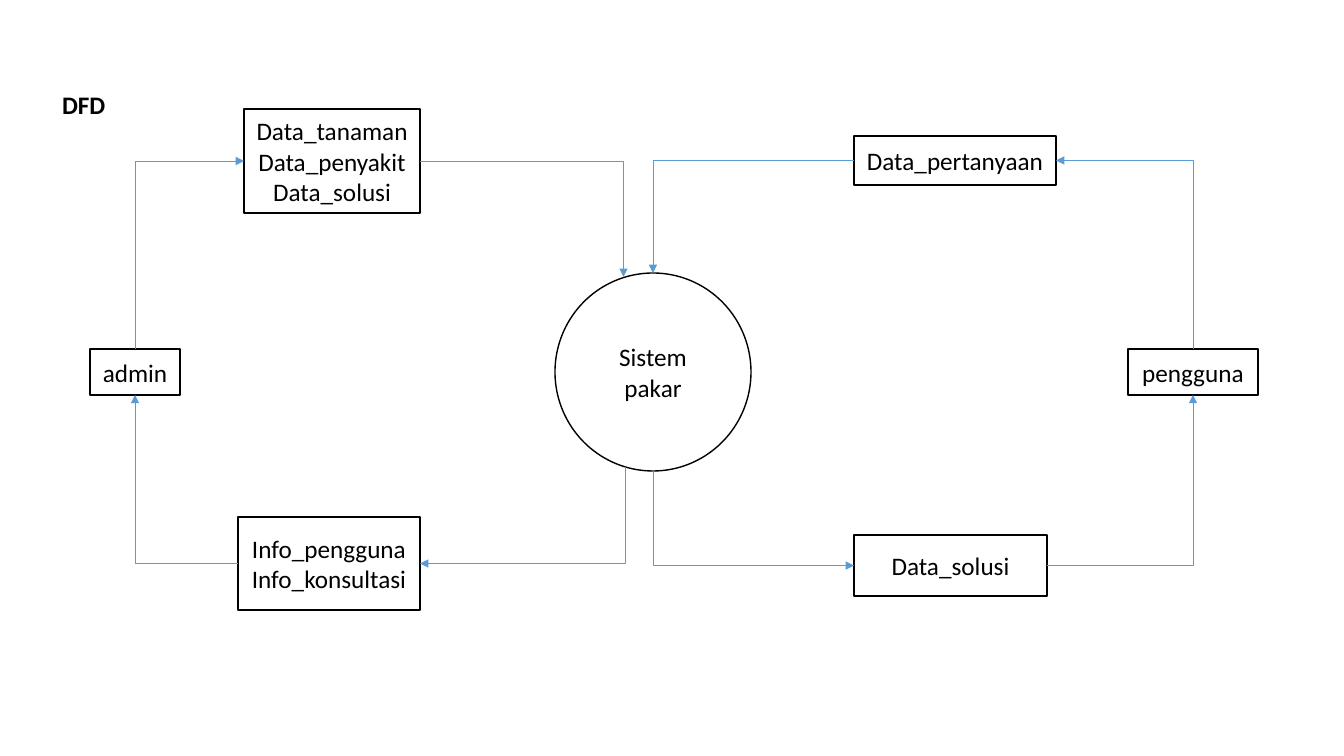
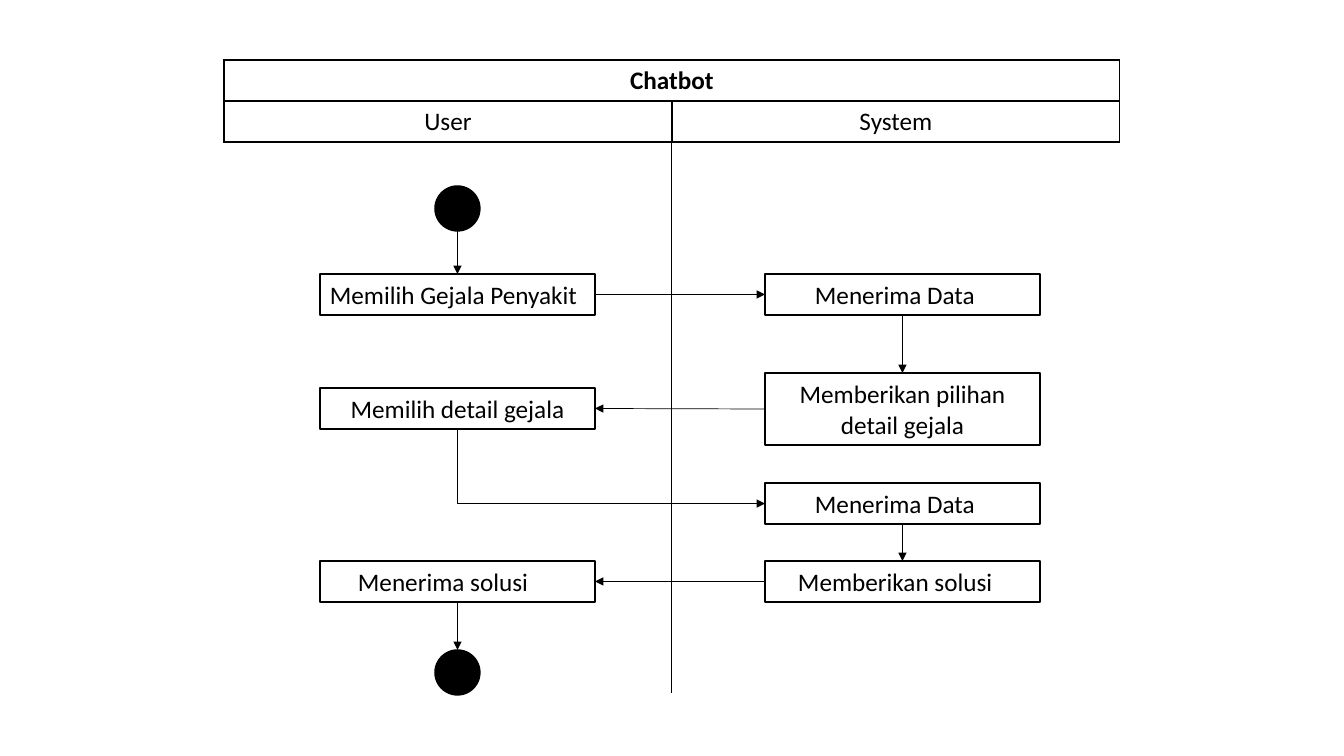
from lxml.etree import SubElement
from pptx import Presentation
from pptx.dml.color import RGBColor
from pptx.enum.shapes import MSO_CONNECTOR, MSO_SHAPE
from pptx.enum.text import MSO_ANCHOR, PP_ALIGN
from pptx.oxml.ns import qn
from pptx.util import Pt

PX = 914400 / 100.8
BLACK = RGBColor(0x00, 0x00, 0x00)
WHITE = RGBColor(0xFF, 0xFF, 0xFF)
BLUE = RGBColor(0x5B, 0x9B, 0xD5)
FONT = "Calibri"
INSET = 10
TOP, LEFT, LOW, RIGHT = (0.5, 0), (0, 0.5), (0.5, 1), (1, 0.5)


def px(*sizes):
    """Turn pixels into EMU."""
    return [round(size * PX) for size in sizes]


def style(frame, align, bold=False):
    """Give all paragraphs of a frame the shared font."""
    for para in frame.paragraphs:
        para.alignment = align
        para.font.name = FONT
        para.font.size = Pt(18)
        para.font.bold = bold
        para.font.color.rgb = BLACK


def draw(slide, kind, box, fill=WHITE):
    """Add an outlined shape."""
    shape = slide.shapes.add_shape(kind, *px(*box))
    shape.shadow.inherit = False
    shape.fill.solid()
    shape.fill.fore_color.rgb = fill
    shape.line.color.rgb = BLACK
    shape.line.width = Pt(1)
    return shape


def node(slide, box, text, kind=MSO_SHAPE.RECTANGLE, indent=None):
    """Add a labelled shape, centred or else indented from the left."""
    shape = draw(slide, kind, box)
    frame = shape.text_frame
    frame.text = text
    frame.word_wrap = True
    frame.vertical_anchor = MSO_ANCHOR.MIDDLE
    frame.margin_left = px(INSET + (indent or 0))[0]
    style(frame, PP_ALIGN.CENTER if indent is None else PP_ALIGN.LEFT)
    return shape


def spot(shape, part):
    """Find the point at a fraction of a shape's width and height."""
    return (round(shape.left + shape.width * part[0]),
            round(shape.top + shape.height * part[1]))


def line(slide, start, end, color=BLACK, kind=MSO_CONNECTOR.STRAIGHT, head=True):
    """Add a thin line, with an arrowhead at its end if wanted."""
    link = slide.shapes.add_connector(kind, *start, *end)
    link.line.color.rgb = color
    link.line.width = Pt(0.5)
    props = link._element.spPr
    if head:
        SubElement(props.find(qn("a:ln")), qn("a:tailEnd"), type="triangle")
    SubElement(props, qn("a:effectLst"))
    return link


def bend(slide, start, end, color=BLACK, down=False):
    """Add an arrow with one corner, moving up or down first if down is set."""
    turn = 0
    if down:
        wide, tall = end[0] - start[0], end[1] - start[1]
        turn = 90 if tall > 0 else 270
        rise = -wide if tall > 0 else wide
        mid_x, mid_y = (start[0] + end[0]) / 2, (start[1] + end[1]) / 2
        start = round(mid_x - abs(tall) / 2), round(mid_y - rise / 2)
        end = round(mid_x + abs(tall) / 2), round(mid_y + rise / 2)
    link = line(slide, start, end, color, MSO_CONNECTOR.ELBOW)
    props = link._element.spPr
    props.find(qn("a:prstGeom")).set("prst", "bentConnector2")
    if turn:
        props.find(qn("a:xfrm")).set("rot", str(turn * 60000))


def title(slide, box, text):
    """Place and format the title."""
    shape = slide.shapes.title
    shape.left, shape.top, shape.width, shape.height = px(*box)
    frame = shape.text_frame
    frame.text = text
    frame.vertical_anchor = MSO_ANCHOR.MIDDLE
    style(frame, PP_ALIGN.LEFT, True)


def dfd(slide, x, y):
    """Draw the data flow diagram from its top left corner."""
    title(slide, (x, y, 202, 40), "DFD")

    def put(left, top, wide, tall, text, kind=MSO_SHAPE.RECTANGLE):
        """Add a node relative to the corner."""
        return node(slide, (x + left, y + top, wide, tall), text, kind)

    core = put(503, 189, 196, 198, "Sistem pakar", MSO_SHAPE.OVAL)
    admin = put(38, 265, 90, 46, "admin")
    user = put(1076, 265, 130, 46, "pengguna")
    data = put(192, 25, 176, 104, "Data_tanaman\nData_penyakit\nData_solusi")
    ask = put(802, 52, 202, 49, "Data_pertanyaan")
    info = put(186, 433, 182, 93, "Info_pengguna\nInfo_konsultasi")
    answer = put(802, 451, 193, 61, "Data_solusi")
    for source, start, target, end, down in (
        (admin, TOP, data, LEFT, True),
        (data, RIGHT, core, (0.35, 0.02), False),
        (core, (0.36, 0.98), info, RIGHT, True),
        (info, LEFT, admin, LOW, False),
        (user, TOP, ask, RIGHT, True),
        (ask, LEFT, core, TOP, False),
        (core, LOW, answer, LEFT, True),
        (answer, RIGHT, user, LOW, False),
    ):
        bend(slide, spot(source, start), spot(target, end), BLUE, down)


def cell(item, text, bold=False):
    """Fill and border one table cell."""
    props = item._tc.get_or_add_tcPr()
    for side in ("lnL", "lnR", "lnT", "lnB"):
        edge = SubElement(props, qn("a:" + side), w=str(Pt(1)))
        fill = SubElement(edge, qn("a:solidFill"))
        SubElement(fill, qn("a:srgbClr"), val=str(BLACK))
    item.fill.background()
    item.vertical_anchor = MSO_ANCHOR.MIDDLE
    item.text = text
    style(item.text_frame, PP_ALIGN.CENTER, bold)


def header(slide, box):
    """Draw the heading table of the lanes."""
    table = slide.shapes.add_table(2, 2, *px(*box)).table
    table.first_row = table.horz_banding = False
    table.cell(0, 0).merge(table.cell(0, 1))
    for row, col, text in ((0, 0, "Chatbot"), (0, 1, ""), (1, 0, "User"), (1, 1, "System")):
        cell(table.cell(row, col), text, row == 0)


def flow(slide, x, y):
    """Draw the activity lanes from their top left corner."""
    header(slide, (x, y, 896, 82))
    line(slide, px(x + 447, y + 79), px(x + 447, y + 633), head=False)

    def step(lane, top, text, indent=None, tall=41):
        """Add a step to the left or right lane."""
        return node(slide, (x + (96, 541)[lane], y + top, 275, tall), text, indent=indent)

    begin, stop = (draw(slide, MSO_SHAPE.OVAL, (x + 211, y + top, 45, 45), BLACK)
                   for top in (126, 590))
    choose = step(0, 214, "Memilih Gejala Penyakit", 0)
    accept = step(1, 214, "Menerima Data", 40)
    offer = step(1, 313, "Memberikan pilihan detail gejala", tall=72)
    detail = step(0, 328, "Memilih detail gejala")
    again = step(1, 423, "Menerima Data", 40)
    solve = step(1, 501, "Memberikan solusi", 23)
    result = step(0, 501, "Menerima solusi", 28)
    for source, start, target, end in (
        (begin, LOW, choose, TOP),
        (choose, RIGHT, accept, LEFT),
        (accept, LOW, offer, TOP),
        (offer, LEFT, detail, RIGHT),
        (again, LOW, solve, TOP),
        (solve, LEFT, result, RIGHT),
        (result, LOW, stop, TOP),
    ):
        line(slide, spot(source, start), spot(target, end))
    bend(slide, spot(detail, LOW), spot(again, LEFT), down=True)


def main():
    """Build and save the slides."""
    deck = Presentation()
    deck.slide_width, deck.slide_height = px(1344, 756)
    dfd(deck.slides.add_slide(deck.slide_layouts[5]), 52, 84)
    flow(deck.slides.add_slide(deck.slide_layouts[6]), 224, 60)
    deck.save("out.pptx")


main()
